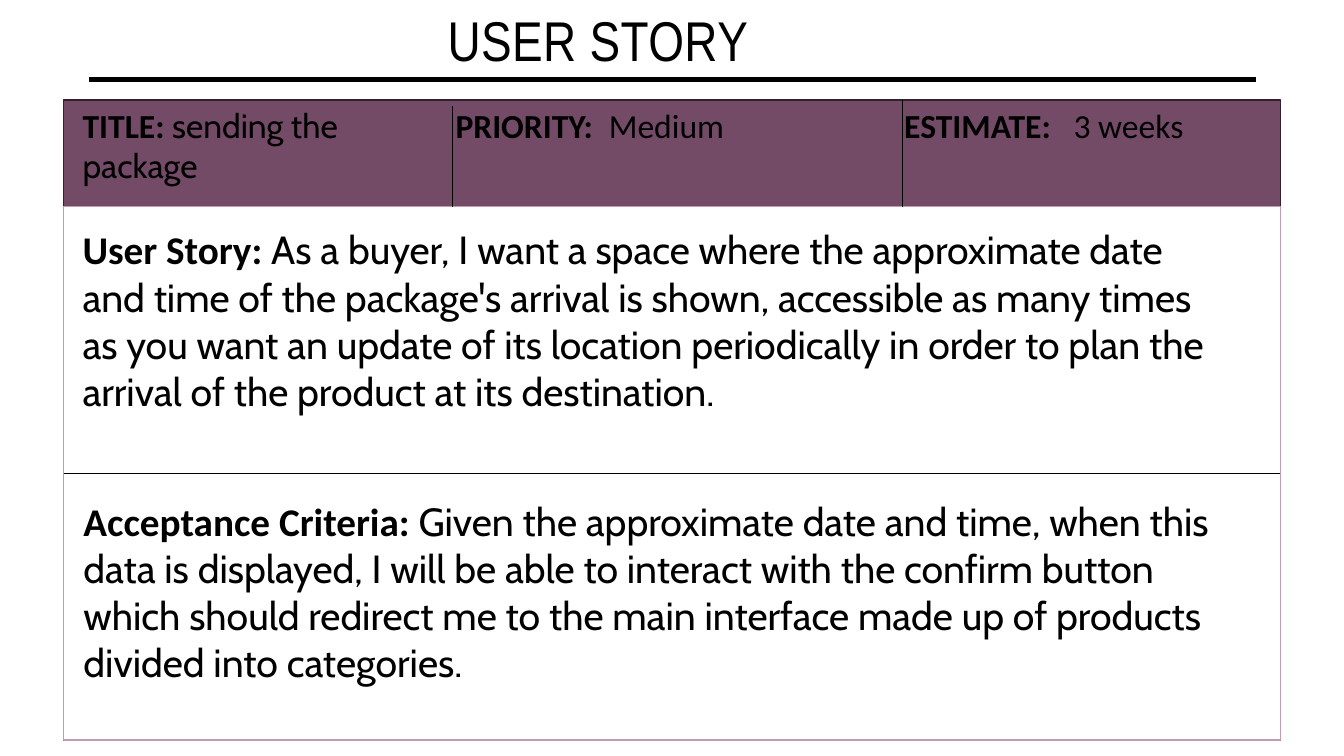
"""Build the user story card slide."""
from dataclasses import dataclass

from lxml import etree
from pptx import Presentation
from pptx import util as u
from pptx.dml.color import RGBColor
from pptx.enum import shapes, text
from pptx.oxml.ns import qn

BLACK = "000000"
CARD_LEFT, CARD_RIGHT = 0.63, 12.7
CARD_TOP, BODY_TOP, CARD_BOTTOM = 0.99, 2.05, 7.34


@dataclass(frozen=True)
class Panel:
    top: float
    fill: str
    line: str


@dataclass(frozen=True)
class Rule:
    start: tuple[float, float]
    end: tuple[float, float]
    weight: float = 0.5


@dataclass(frozen=True)
class Field:
    label: str
    lines: tuple[str, ...]
    area: tuple[float, float, float, float]
    size: int = 24
    font: str = "Cabin"
    tab: float = 0


PANELS = [
    Panel(CARD_TOP, "734B67", "32212D"),
    Panel(BODY_TOP, "FFFFFF", "C29AB1"),
]
RULES = [
    Rule((0.88, 0.79), (12.46, 0.79), 3.5),
    Rule((4.49, BODY_TOP), (4.49, 1.05)),
    Rule((8.95, BODY_TOP), (8.95, CARD_TOP)),
]
FIELDS = [
    Field("TITLE: ", ("sending the", "package"), (0.72, CARD_TOP, 4.58, 2.02)),
    Field("PRIORITY:\t", ("Medium",), (4.42, CARD_TOP, 4.47, 0.5), font="Calibri", tab=1.52),
    Field("ESTIMATE:\t", ("3 weeks",), (8.87, CARD_TOP, 3.83, 0.5), font="Calibri", tab=1.68),
    Field(
        "User Story: ",
        ("As a buyer, I want a space where the approximate date and time of the package's "
         "arrival is shown, accessible as many times as you want an update of its location "
         "periodically in order to plan the arrival of the product at its destination.",),
        (0.72, 2.19, 11.58, 1.99), 28),
    Field(
        "Acceptance Criteria: ",
        ("Given the approximate date and time, when this data is displayed, I will be able to "
         "interact with the confirm button which should redirect me to the main interface "
         "made up of products divided into categories.",),
        (0.73, 4.88, 11.6, 1.99), 28),
]


def color(value: str) -> RGBColor:
    """Turn a hex string into a colour."""
    return RGBColor.from_string(value)


def apply(target, values: dict) -> None:
    """Set every attribute named in a dict of format values."""
    for name, value in values.items():
        setattr(target, name, value)


def add_span(para, words: str, size: int, font: str, bold: bool = False):
    """Append a black run to a paragraph."""
    span = para.add_run()
    span.text = words
    apply(span.font, {"size": u.Pt(size), "name": font, "bold": bold})
    span.font.color.rgb = color(BLACK)
    return span


def add_title(page, words: str) -> None:
    """Place and format the title placeholder."""
    title = page.shapes.title
    apply(title, {"left": u.Inches(4.34), "top": u.Inches(0),
                  "width": u.Inches(3.97), "height": u.Inches(1.45)})
    apply(title.text_frame, {"vertical_anchor": text.MSO_ANCHOR.TOP,
                             "auto_size": text.MSO_AUTO_SIZE.NONE, "word_wrap": True})
    para = title.text_frame.paragraphs[0]
    para.alignment = text.PP_ALIGN.LEFT
    span = add_span(para, words, 40, "Arial Narrow")
    span.font._element.set("spc", "30")


def add_panel(page, panel: Panel):
    """Draw a card panel reaching down to the card's bottom."""
    box = page.shapes.add_shape(
        shapes.MSO_SHAPE.RECTANGLE, u.Inches(CARD_LEFT), u.Inches(panel.top),
        u.Inches(CARD_RIGHT - CARD_LEFT), u.Inches(CARD_BOTTOM - panel.top))
    box.shadow.inherit = False
    box.fill.solid()
    box.fill.fore_color.rgb = color(panel.fill)
    box.line.color.rgb = color(panel.line)
    box.line.width = u.Pt(1)
    return box


def add_rule(page, rule: Rule):
    """Draw a straight black line without a shadow."""
    line = page.shapes.add_connector(
        shapes.MSO_CONNECTOR.STRAIGHT, *map(u.Inches, rule.start + rule.end))
    line.line.color.rgb = color(BLACK)
    line.line.width = u.Pt(rule.weight)
    etree.SubElement(line._element.spPr, qn("a:effectLst"))
    return line


def add_field(page, field: Field) -> None:
    """Write a bold label followed by its value."""
    box = page.shapes.add_textbox(*map(u.Inches, field.area))
    frame = box.text_frame
    apply(frame, {"word_wrap": True, "auto_size": text.MSO_AUTO_SIZE.SHAPE_TO_FIT_TEXT})
    para = frame.paragraphs[0]
    if field.tab:
        stops = etree.SubElement(para._p.get_or_add_pPr(), qn("a:tabLst"))
        etree.SubElement(stops, qn("a:tab"), pos=str(u.Inches(field.tab)), algn="l")
    add_span(para, field.label, field.size, "Calibri", True)
    add_span(para, field.lines[0], field.size, field.font)
    for words in field.lines[1:]:
        add_span(frame.add_paragraph(), words, field.size, field.font)


def main() -> None:
    """Assemble and save the deck."""
    deck = Presentation()
    apply(deck, {"slide_width": u.Inches(13.33), "slide_height": u.Inches(7.5)})
    page = deck.slides.add_slide(deck.slide_layouts.get_by_name("Title Only"))
    add_title(page, "USER STORY")
    _, body = [add_panel(page, panel) for panel in PANELS]
    for rule in RULES:
        add_rule(page, rule)
    middle = (BODY_TOP + CARD_BOTTOM) / 2
    divider = add_rule(page, Rule((CARD_LEFT, middle), (CARD_RIGHT, middle)))
    divider.begin_connect(body, 1)
    divider.end_connect(body, 3)
    for field in FIELDS:
        add_field(page, field)
    deck.save("out.pptx")


if __name__ == "__main__":
    main()
